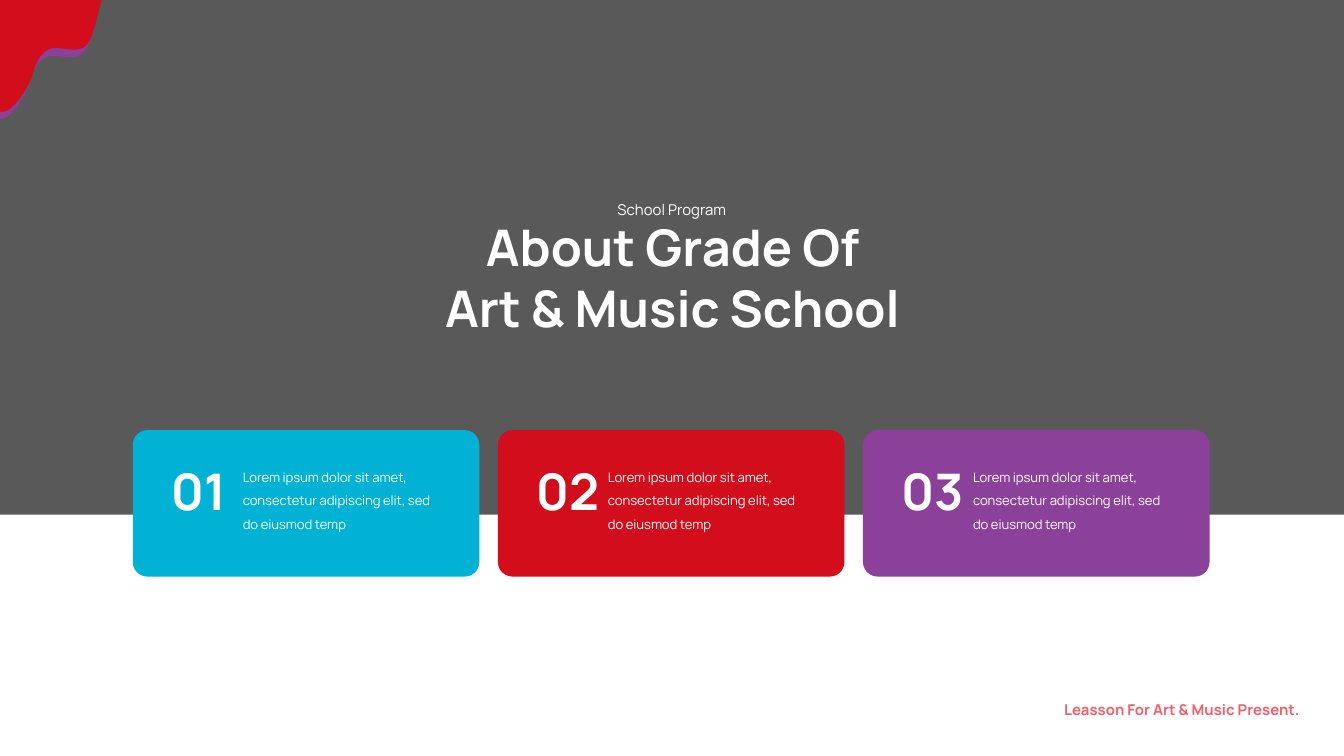
from lxml.etree import SubElement
from pptx import Presentation
from pptx.dml.color import RGBColor
from pptx.enum.shapes import MSO_SHAPE as Shape
from pptx.enum.text import MSO_ANCHOR as Anchor, MSO_AUTO_SIZE as AutoSize, PP_ALIGN as Align
from pptx.oxml.ns import qn
from pptx.util import Cm, Pt

BLACK = RGBColor(0x00, 0x00, 0x00)
WHITE = RGBColor(0xFF, 0xFF, 0xFF)
CYAN = RGBColor(0x01, 0xB2, 0xD4)
RED = RGBColor(0xD2, 0x0E, 0x1C)
PURPLE = RGBColor(0x8B, 0x40, 0x9A)
CORAL = RGBColor(0xF4, 0x5E, 0x69)

PAGE_WIDTH, PAGE_HEIGHT = 25.4, 14.29
CARD_LEFT, CARD_TOP, CARD_WIDTH, CARD_HEIGHT = 2.51, 8.13, 6.55, 2.77
CARD_PITCH = 6.9
CARD_TEXT = "Lorem ipsum dolor sit amet, consectetur adipiscing elit, sed do eiusmod temp"

# Each splash: start of the wavy edge, then (control, control, end) per curve, in cm
PURPLE_EDGE = (1.85, 0.15), [
    ((1.8, 0.36), (1.73, 0.86), (1.55, 1.02)),
    ((1.4, 1.17), (1.02, 0.99), (0.86, 1.09)),
    ((0.69, 1.19), (0.61, 1.35), (0.56, 1.57)),
    ((0.48, 1.78), (0.23, 2.26), (0, 2.26)),
]
RED_EDGE = (1.93, 0), [
    ((1.85, 0.2), (1.78, 0.71), (1.63, 0.86)),
    ((1.45, 1.04), (1.09, 0.84), (0.91, 0.94)),
    ((0.74, 1.04), (0.66, 1.22), (0.61, 1.45)),
    ((0.53, 1.65), (0.23, 2.18), (0, 2.11)),
]


def write(frame, text, size=8, color=WHITE, bold=False, align=Align.LEFT,
          spacing=1.0, margins=(0.25, 0.13), font="Manrope"):
    """Fill a text frame, one paragraph per line of text."""
    frame.word_wrap = True
    frame.auto_size = AutoSize.NONE
    frame.vertical_anchor = Anchor.TOP
    frame.margin_left = frame.margin_right = Cm(margins[0])
    frame.margin_top = frame.margin_bottom = Cm(margins[1])
    frame.text = text
    for para in frame.paragraphs:
        para.alignment = align
        para.line_spacing = spacing
        para.space_before = Pt(0)
        for span in para.runs:
            span.font.name = font
            span.font.size = Pt(size)
            span.font.bold = bold
            span.font.color.rgb = color


def curve_points(start, curves, steps=16):
    """Follow a chain of cubic curves as closely spaced points."""
    points = [start]
    for first, second, end in curves:
        origin = points[-1]
        for step in range(1, steps + 1):
            t = step / steps
            u = 1 - t
            points.append(tuple(
                u**3 * a + 3 * u * u * t * b + 3 * u * t * t * c + t**3 * d
                for a, b, c, d in zip(origin, first, second, end)))
    return points


class SlideBuilder:
    def __init__(self, page):
        self.page = page

    def paint(self, shape, color):
        shape.shadow.inherit = False
        shape.fill.solid()
        shape.fill.fore_color.rgb = color
        shape.line.fill.background()

    def shape(self, kind, left, top, width, height, color, alpha=None, corner=None):
        box = self.page.shapes.add_shape(kind, Cm(left), Cm(top), Cm(width), Cm(height))
        self.paint(box, color)
        if corner is not None:
            box.adjustments[0] = corner
        if alpha is not None:
            tone = box.element.spPr.find(qn("a:solidFill"))[0]
            SubElement(tone, qn("a:alpha")).set("val", str(alpha * 1000))

    def splash(self, edge, color):
        points = curve_points(*edge)
        builder = self.page.shapes.build_freeform(
            Cm(0), Cm(points[0][1]))
        builder.add_line_segments([(Cm(x), Cm(y)) for x, y in points], close=True)
        self.paint(builder.convert_to_shape(), color)

    def text(self, left, top, width, height, text, **style):
        box = self.page.shapes.add_textbox(Cm(left), Cm(top), Cm(width), Cm(height))
        write(box.text_frame, text, **style)

    def title(self, left, top, width, height, text, **style):
        title = self.page.shapes.title
        title.left, title.top = Cm(left), Cm(top)
        title.width, title.height = Cm(width), Cm(height)
        write(title.text_frame, text, **style)
        # Bring the title in front of the backdrop
        title.element.getparent().append(title.element)

    def card(self, index, color):
        left = CARD_LEFT + index * CARD_PITCH
        self.shape(Shape.ROUNDED_RECTANGLE, left, CARD_TOP, CARD_WIDTH, CARD_HEIGHT,
                   color, corner=0.1)
        self.text(left + 1.83, CARD_TOP + 0.46, 4.3, 1.6, CARD_TEXT, size=7, spacing=1.5)
        self.text(left + 0.47, CARD_TOP + 0.43, 1.96, 1.4, f"{index + 1:02}",
                  size=27, bold=True)


def main():
    deck = Presentation()
    deck.slide_width, deck.slide_height = Cm(PAGE_WIDTH), Cm(PAGE_HEIGHT)
    slide = SlideBuilder(deck.slides.add_slide(deck.slide_layouts[5]))

    # Backdrop and corner splashes
    slide.shape(Shape.RECTANGLE, 0, 0, PAGE_WIDTH, 9.73, BLACK, alpha=65)
    slide.splash(PURPLE_EDGE, PURPLE)
    slide.splash(RED_EDGE, RED)

    # Heading
    slide.title(6.12, 3.96, 13.18, 2.54, "About Grade Of\nArt & Music School",
                size=27, bold=True, align=Align.CENTER)
    slide.text(11.1, 3.53, 3.2, 0.69, "School Program",
               align=Align.CENTER, spacing=1.5, margins=(0.2, 0.1))

    # Numbered cards
    for index, color in enumerate((CYAN, RED, PURPLE)):
        slide.card(index, color)

    # Footer
    slide.text(17.63, 12.98, 7.14, 0.69, "Leasson For Art & Music Present.", color=CORAL,
               bold=True, align=Align.RIGHT, spacing=1.5, margins=(0.2, 0.1))

    deck.save("out.pptx")


if __name__ == "__main__":
    main()
